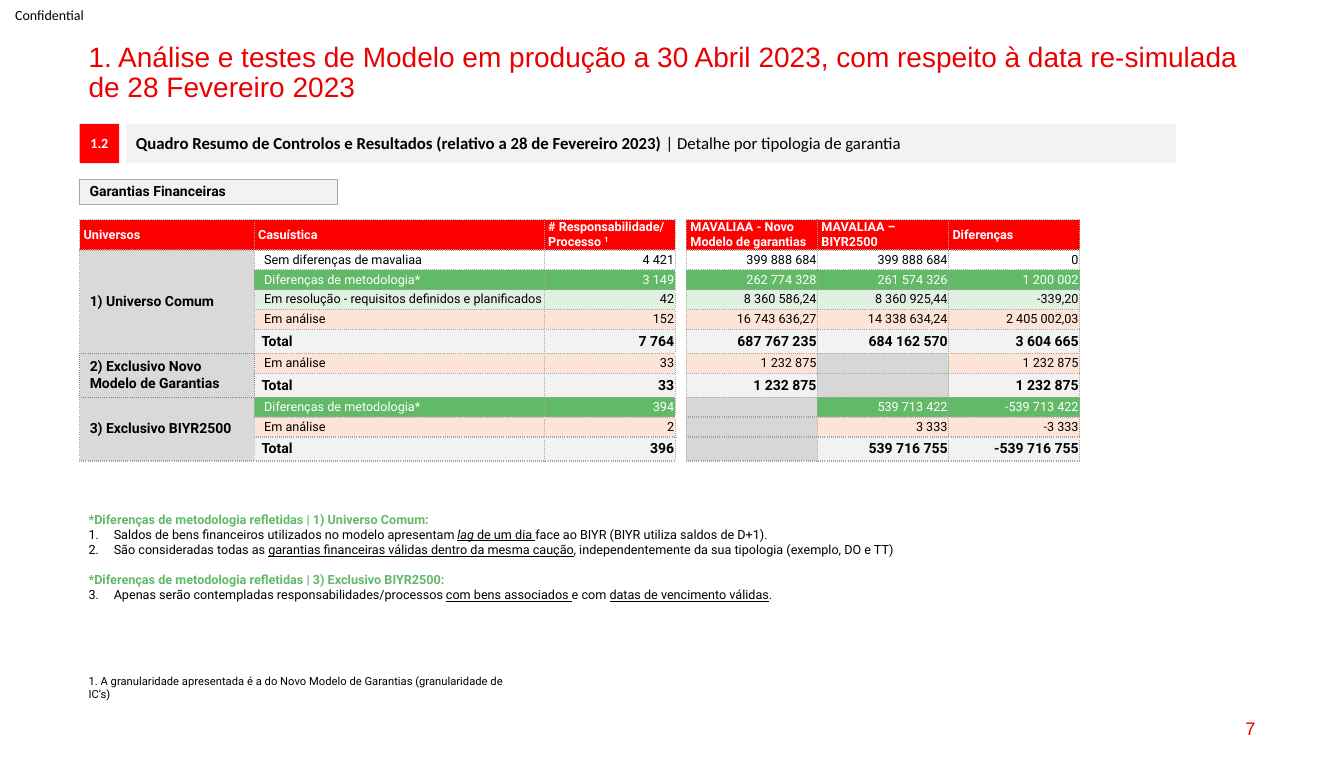
from lxml.etree import SubElement
from pptx import Presentation
from pptx.dml.color import RGBColor
from pptx.enum.shapes import MSO_SHAPE
from pptx.enum.text import MSO_ANCHOR as ANCHOR, PP_ALIGN as ALIGN
from pptx.oxml.ns import qn
from pptx.util import Inches, Pt

WIDTH, HEIGHT = Inches(13.33), Inches(7.76)

COLORS = {
    "black": "000000", "white": "FFFFFF", "red": "FF0000", "title": "EB0000",
    "green": "62B967", "mint": "E0F1E1", "peach": "FCE4D6", "light": "F2F2F2",
    "universe": "D9D9D9", "empty": "D7D7D7",
    "rule": "A6A6A6", "dark_rule": "808080", "pale_rule": "BFBFBF",
}

# Row label -> fill, text colour, emphasised
ROW_STYLES = {
    "Sem diferenças de mavaliaa": (None, "black", False),
    "Diferenças de metodologia*": ("green", "white", False),
    "Em resolução - requisitos definidos e planificados": ("mint", "black", False),
    "Em análise": ("peach", "black", False),
    "Total": ("light", "black", True),
}

HEADERS = [
    ["Universos"], ["Casuística"],
    ["# Responsabilidade/", ["Processo ", ("1", {"baseline": 30})]],
    None,
    ["MAVALIAA - Novo Modelo de garantias"], ["MAVALIAA – BIYR2500"], ["Diferenças"],
]

# Universe name, colours of its left, right, top and bottom borders, rows
UNIVERSES = [
    ("1) Universo Comum", ("rule", "rule", "rule", "dark_rule"), [
        ("Sem diferenças de mavaliaa", "4 421", "399 888 684", "399 888 684", "0"),
        ("Diferenças de metodologia*", "3 149", "262 774 328", "261 574 326", "1 200 002"),
        ("Em resolução - requisitos definidos e planificados",
         "42", "8 360 586,24", "8 360 925,44", "-339,20"),
        ("Em análise", "152", "16 743 636,27", "14 338 634,24", "2 405 002,03"),
        ("Total", "7 764", "687 767 235", "684 162 570", "3 604 665"),
    ]),
    ("2) Exclusivo Novo Modelo de Garantias", ("dark_rule",) * 4, [
        ("Em análise", "33", "1 232 875", None, "1 232 875"),
        ("Total", "33", "1 232 875", None, "1 232 875"),
    ]),
    ("3) Exclusivo BIYR2500", ("rule", "pale_rule", "dark_rule", "rule"), [
        ("Diferenças de metodologia*", "394", None, "539 713 422", "-539 713 422"),
        ("Em análise", "2", None, "3 333", "-3 333"),
        ("Total", "396", None, "539 716 755", "-539 716 755"),
    ]),
]
COLUMN_SPANS = [12.98, 21.58, 9.75, 0.84, 9.75, 9.75, 9.75]
GAP_COLUMN = 3
HEADER_ROW, BODY_ROW, TOTAL_ROW = 3.35, 2.54, 3.07

UNDERLINED = {"underline": True}
NOTES = [
    ("*Diferenças de metodologia refletidas | 1) Universo Comum:", [
        ["Saldos de bens financeiros utilizados no modelo apresentam ",
         ("lag", {"underline": True, "italic": True}), (" de um dia ", UNDERLINED),
         "face ao BIYR (BIYR utiliza saldos de D+1)."],
        ["São consideradas todas as ",
         ("garantias financeiras válidas dentro da mesma caução", UNDERLINED),
         ", independentemente da sua tipologia (exemplo, DO e TT)"],
    ]),
    ("*Diferenças de metodologia refletidas | 3) Exclusivo BIYR2500:", [
        ["Apenas serão contempladas responsabilidades/processos ",
         ("com bens associados ", UNDERLINED), "e com ",
         ("datas de vencimento válidas", UNDERLINED), "."],
    ]),
]


def cols(count):
    """Length of a number of columns, with 100 across the slide."""
    return round(WIDTH * count / 100)


def rows(count):
    """Length of a number of rows, with 100 down the slide."""
    return round(HEIGHT * count / 100)


def rgb(name):
    return RGBColor.from_string(COLORS[name])


def write(frame, runs, size=9, font="Roboto", color="black", bold=False,
          align=ALIGN.LEFT, spacing=None, before=0, number=None):
    """Append one paragraph, given as a string or as runs with own formats."""
    paragraph = frame.paragraphs[0]
    if paragraph.runs:
        paragraph = frame.add_paragraph()
    if number:
        properties = paragraph._p.get_or_add_pPr()
        properties.set("marL", str(Inches(0.25)))
        properties.set("indent", str(-Inches(0.25)))
        SubElement(properties, qn("a:buFont"), typeface="+mj-lt")
        SubElement(properties, qn("a:buAutoNum"), type="arabicPeriod", startAt=str(number))
    paragraph.alignment = align
    if spacing:
        paragraph.line_spacing = spacing
    if before:
        paragraph.space_before = Pt(before)
    for piece in [runs] if isinstance(runs, str) else runs:
        text, extra = (piece, {}) if isinstance(piece, str) else piece
        run = paragraph.add_run()
        run.text = text
        style = run.font
        style.name, style.size, style.bold = font, Pt(size), extra.get("bold", bold)
        style.italic, style.underline = extra.get("italic"), extra.get("underline")
        style.color.rgb = rgb(color)
        if "baseline" in extra:
            run._r.get_or_add_rPr().set("baseline", str(extra["baseline"] * 1000))


def add_text(slide, left, top, width, height, runs=None, anchor=ANCHOR.TOP, **style):
    box = slide.shapes.add_textbox(cols(left), rows(top), cols(width), rows(height))
    frame = box.text_frame
    frame.word_wrap = True
    frame.vertical_anchor = anchor
    if runs:
        write(frame, runs, **style)
    return frame


def add_bar(slide, left, top, width, height, fill, runs, line=None, **style):
    bar = slide.shapes.add_shape(
        MSO_SHAPE.RECTANGLE, cols(left), rows(top), cols(width), rows(height))
    bar.shadow.inherit = False
    bar.fill.solid()
    bar.fill.fore_color.rgb = rgb(fill)
    if line:
        bar.line.color.rgb = rgb(line)
        bar.line.width = Pt(0.75)
    else:
        bar.line.fill.background()
    bar.text_frame.word_wrap = True
    bar.text_frame.vertical_anchor = ANCHOR.MIDDLE
    write(bar.text_frame, runs, spacing=0.9, **style)


def set_cell(cell, paragraphs=(), fill=None, borders=("rule",) * 4, left=0.08, right=0.08, **style):
    """Fill one cell; borders run left, right, top, bottom."""
    properties = cell._tc.get_or_add_tcPr()
    for side, color in zip("LRTB", borders):
        if color:
            line = SubElement(properties, qn(f"a:ln{side}"), w=str(Pt(1)))
            SubElement(SubElement(line, qn("a:solidFill")), qn("a:srgbClr"), val=COLORS[color])
            SubElement(line, qn("a:prstDash"), val="sysDot")
    if fill:
        cell.fill.solid()
        cell.fill.fore_color.rgb = rgb(fill)
    else:
        cell.fill.background()
    cell.margin_left, cell.margin_right = cols(left), cols(right)
    cell.margin_top = cell.margin_bottom = 0
    cell.vertical_anchor = ANCHOR.MIDDLE
    for runs in paragraphs:
        write(cell.text_frame, runs, **style)
    if not paragraphs:
        SubElement(cell.text_frame.paragraphs[0]._p, qn("a:endParaRPr"), sz="800")


def set_gap(cell):
    set_cell(cell, borders=("rule", "rule", None, None))


def add_guarantees_table(slide, left, top):
    lines = [line for _, _, group in UNIVERSES for line in group]
    heights = [HEADER_ROW] + [TOTAL_ROW if line[0] == "Total" else BODY_ROW for line in lines]
    table = slide.shapes.add_table(
        len(heights), len(COLUMN_SPANS), cols(left), rows(top),
        cols(sum(COLUMN_SPANS)), rows(sum(heights))).table
    table.first_row = table.horz_banding = False
    for column, span in zip(table.columns, COLUMN_SPANS):
        column.width = cols(span)
    for row, height in zip(table.rows, heights):
        row.height = rows(height)

    for index, header in enumerate(HEADERS):
        if index == GAP_COLUMN:
            set_gap(table.cell(0, index))
        else:
            set_cell(table.cell(0, index), header, "red", left=0.3, right=0.3,
                     color="white", bold=True)

    first = 1
    for universe, edges, group in UNIVERSES:
        last = first + len(group) - 1
        table.cell(first, 0).merge(table.cell(last, 0))
        for row, (label, *values) in enumerate(group, first):
            set_cell(table.cell(row, 0), [universe] if row == first else (), "universe",
                     edges, left=0.75, right=0.3, size=10, bold=True)
            fill, color, strong = ROW_STYLES[label]
            style = {"color": color, "bold": strong, "size": 10 if strong else 9}
            set_cell(table.cell(row, 1), [label], fill, (edges[1], "rule", "rule", "rule"),
                     left=0.55 if strong else 0.75, **style)
            set_gap(table.cell(row, GAP_COLUMN))
            for column, value in zip((2, 4, 5, 6), values):
                set_cell(table.cell(row, column), [value] if value else (),
                         fill if value else "empty", align=ALIGN.RIGHT, **style)
        first = last + 1


def add_notes(slide, left, top, width, height):
    frame = add_text(slide, left, top, width, height)
    number = 1
    for heading, items in NOTES:
        write(frame, heading, color="green", bold=True, before=10.5 if number > 1 else 0)
        for item in items:
            write(frame, item, number=number)
            number += 1


def main():
    presentation = Presentation()
    presentation.slide_width, presentation.slide_height = WIDTH, HEIGHT
    slide = presentation.slides.add_slide(presentation.slide_layouts[6])

    marking = add_text(slide, 0, 0, 7.43, 3.74, "Confidential", ANCHOR.MIDDLE,
                       size=10, font="Calibri")
    marking.margin_left, marking.margin_right = cols(1.13), 0
    marking.margin_top = marking.margin_bottom = 0
    add_text(slide, 5.85, 4.9, 88.3, 4.38,
             "1. Análise e testes de Modelo em produção a 30 Abril 2023, "
             "com respeito à data re-simulada de 28 Fevereiro 2023",
             size=20, font="Arial", color="title", spacing=0.9)
    add_text(slide, 71.64, 90.46, 22.51, 5.28, "7", ANCHOR.MIDDLE,
             size=13, font="Arial", color="title", align=ALIGN.RIGHT)

    add_bar(slide, 5.93, 15.85, 2.93, 5.03, "red", "1.2", size=10, font="Calibri",
            color="white", bold=True, align=ALIGN.CENTER)
    add_bar(slide, 9.38, 15.85, 78.09, 5.03, "light",
            [("Quadro Resumo de Controlos e Resultados (relativo a 28 de Fevereiro 2023) ",
              {"bold": True}), "| Detalhe por tipologia de garantia"],
            size=12, font="Calibri")
    add_bar(slide, 5.93, 22.94, 19.2, 3.22, "light", "Garantias Financeiras",
            line="rule", size=10, bold=True)

    add_guarantees_table(slide, 5.93, 28.09)
    add_notes(slide, 5.85, 64.82, 79.14, 19.33)
    add_text(slide, 5.85, 85.57, 32.78, 3.09,
             "1. A granularidade apresentada é a do Novo Modelo de Garantias "
             "(granularidade de IC’s)", size=8)
    presentation.save("out.pptx")


if __name__ == "__main__":
    main()
